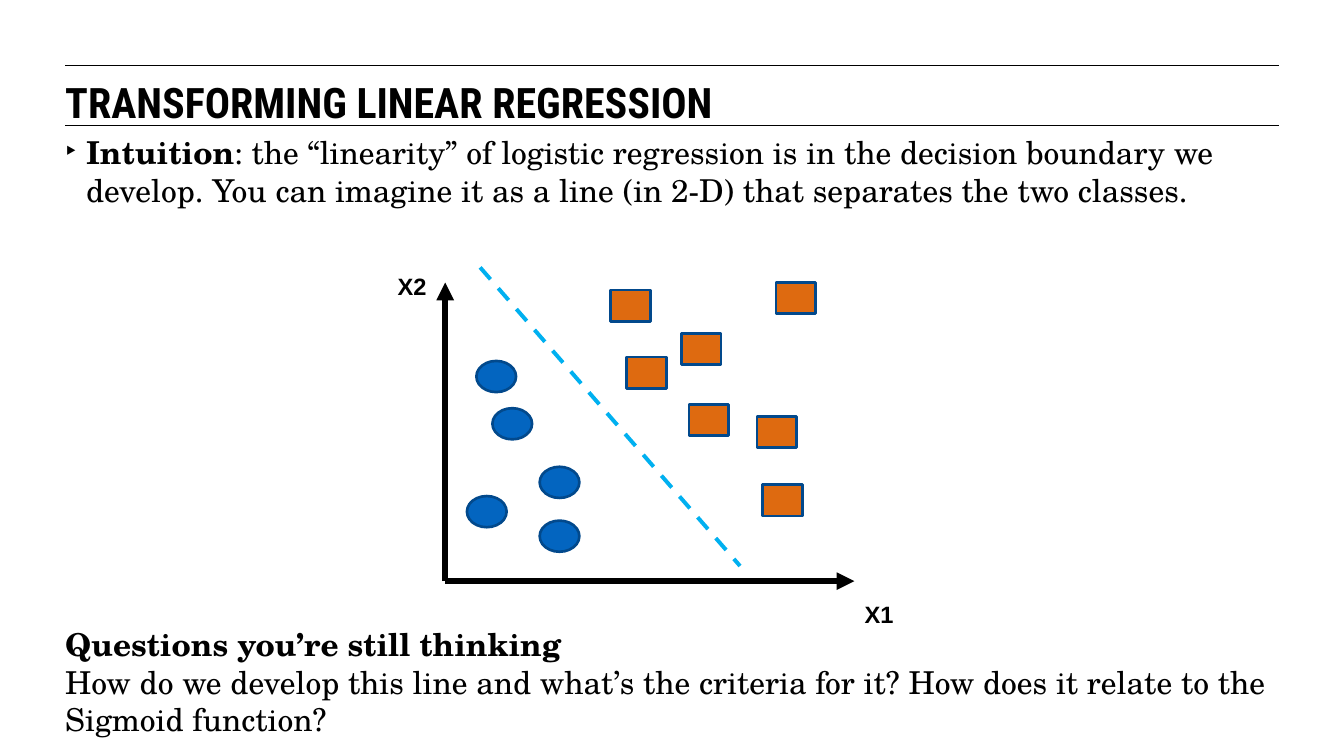
from lxml import etree
from pptx import Presentation
from pptx.dml.color import RGBColor
from pptx.enum.dml import MSO_LINE
from pptx.enum.shapes import MSO_CONNECTOR, MSO_SHAPE
from pptx.enum.text import MSO_ANCHOR, MSO_AUTO_SIZE, PP_ALIGN
from pptx.oxml.ns import qn
from pptx.util import Inches, Pt

STRAIGHT = MSO_CONNECTOR.STRAIGHT
OVAL, RECTANGLE = MSO_SHAPE.OVAL, MSO_SHAPE.RECTANGLE
DASH = MSO_LINE.DASH
TOP, LEFT = MSO_ANCHOR.TOP, PP_ALIGN.LEFT
NO_AUTOFIT = MSO_AUTO_SIZE.NONE

TITLE_FONT, BODY_FONT, LABEL_FONT = "Roboto Condensed", "TeX Gyre Schola", "Arial"
BLACK, BLUE, ORANGE = "000000", "0365C0", "DE6A10"
OUTLINE, BOUNDARY = "02498C", "00B0F0"

MARGIN, RULE_END = 0.69, 13.53
ORIGIN = (4.71, 6.15)
MARKER_WIDTH, MARKER_HEIGHT = 0.42, 0.33
CIRCLES = [(5.04, 3.82), (5.21, 4.32), (5.71, 4.94), (4.94, 5.25), (5.71, 5.51)]
SQUARES = [(6.46, 3.07), (7.21, 3.53), (6.63, 3.78), (8.21, 2.99),
           (8.01, 4.41), (7.29, 4.28), (8.07, 5.13)]


def color(hex_code):
    return RGBColor.from_string(hex_code)


def place(shape, left, top, width, height):
    shape.left, shape.top = Inches(left), Inches(top)
    shape.width, shape.height = Inches(width), Inches(height)


def set_frame(frame, inset_x=0, inset_y=0):
    frame.word_wrap = True
    frame.auto_size = NO_AUTOFIT
    frame.vertical_anchor = TOP
    frame.margin_left = frame.margin_right = Inches(inset_x)
    frame.margin_top = frame.margin_bottom = Inches(inset_y)


def add_run(para, text, font, size, bold=False):
    span = para.add_run()
    span.text = text
    span.font.name = font
    span.font.size = Pt(size)
    span.font.bold = bold
    span.font.color.rgb = color(BLACK)


def set_para(para, space_before=0):
    para.alignment = LEFT
    para.line_spacing = 1.0
    para.space_before = Pt(space_before)
    para.space_after = Pt(0)


def set_bullet(para, char=None, indent=0):
    properties = para._p.get_or_add_pPr()
    properties.set("marL", str(Inches(indent)))
    properties.set("indent", str(-Inches(indent)))
    if char:
        etree.SubElement(properties, qn("a:buChar")).set("char", char)
    else:
        etree.SubElement(properties, qn("a:buNone"))


def add_line(shapes, start, end, hex_code, width, dash=None, arrow=False):
    points = [Inches(value) for value in (*start, *end)]
    connector = shapes.add_connector(STRAIGHT, *points)
    connector.line.color.rgb = color(hex_code)
    connector.line.width = Pt(width)
    if dash:
        connector.line.dash_style = dash
    if arrow:
        outline = connector.line._get_or_add_ln()
        etree.SubElement(outline, qn("a:tailEnd")).set("type", "triangle")
    etree.SubElement(connector._element.spPr, qn("a:effectLst"))


def add_marker(shapes, kind, left, top, fill):
    marker = shapes.add_shape(kind, Inches(left), Inches(top),
                              Inches(MARKER_WIDTH), Inches(MARKER_HEIGHT))
    marker.shadow.inherit = False
    marker.fill.solid()
    marker.fill.fore_color.rgb = color(fill)
    marker.line.color.rgb = color(OUTLINE)
    marker.line.width = Pt(2)


def add_axis_label(shapes, text, left, top):
    box = shapes.add_textbox(Inches(left), Inches(top), Inches(0.75), Inches(0.34))
    set_frame(box.text_frame, 0.1, 0.05)
    add_run(box.text_frame.paragraphs[0], text, LABEL_FONT, 18, bold=True)


def fill_title(title):
    place(title, MARGIN, 0.81, 13.53, 0.47)
    set_frame(title.text_frame)
    para = title.text_frame.paragraphs[0]
    set_para(para)
    add_run(para, "TRANSFORMING LINEAR REGRESSION", TITLE_FONT, 32, bold=True)


def fill_body(body):
    place(body, MARGIN, 1.41, 13.25, 6.57)
    frame = body.text_frame
    set_frame(frame)

    intuition = frame.paragraphs[0]
    set_para(intuition)
    set_bullet(intuition, "‣", 0.22)
    add_run(intuition, "Intuition", BODY_FONT, 24, bold=True)
    add_run(intuition, ": the “linearity” of logistic regression is in the decision "
            "boundary we develop. You can imagine it as a line (in 2-D) that "
            "separates the two classes.", BODY_FONT, 24)

    # The wide space before the heading leaves room for the plot
    heading = frame.add_paragraph()
    set_para(heading, space_before=317)
    set_bullet(heading)
    add_run(heading, "Questions you’re still thinking", BODY_FONT, 24, bold=True)

    question = frame.add_paragraph()
    set_para(question)
    set_bullet(question)
    add_run(question, "How do we develop this line and what’s the criteria for it? "
            "How does it relate to the Sigmoid function?", BODY_FONT, 24)


def add_plot(page):
    shapes = page.shapes.add_group_shape().shapes
    # Axes
    for tip in [(4.71, 2.99), (9.04, 6.15)]:
        add_line(shapes, ORIGIN, tip, BLACK, 4.5, arrow=True)
    # The two classes
    for kind, fill, spots in [(OVAL, BLUE, CIRCLES), (RECTANGLE, ORANGE, SQUARES)]:
        for left, top in spots:
            add_marker(shapes, kind, left, top, fill)
    # Decision boundary
    add_line(shapes, (5.08, 2.83), (7.83, 5.99), BOUNDARY, 3, dash=DASH)
    # Axis labels
    add_axis_label(shapes, "X2", 4.11, 2.83)
    add_axis_label(shapes, "X1", 9.05, 6.3)


def main():
    deck = Presentation()
    deck.slide_width, deck.slide_height = Inches(14.22), Inches(7.99)
    page = deck.slides.add_slide(deck.slide_layouts[1])

    # Title between two rules
    for height in (0.69, 1.33):
        add_line(page.shapes, (MARGIN, height), (RULE_END, height), BLACK, 0.75)
    fill_title(page.shapes.title)

    fill_body(page.placeholders[1])
    add_plot(page)
    deck.save("out.pptx")


if __name__ == "__main__":
    main()
